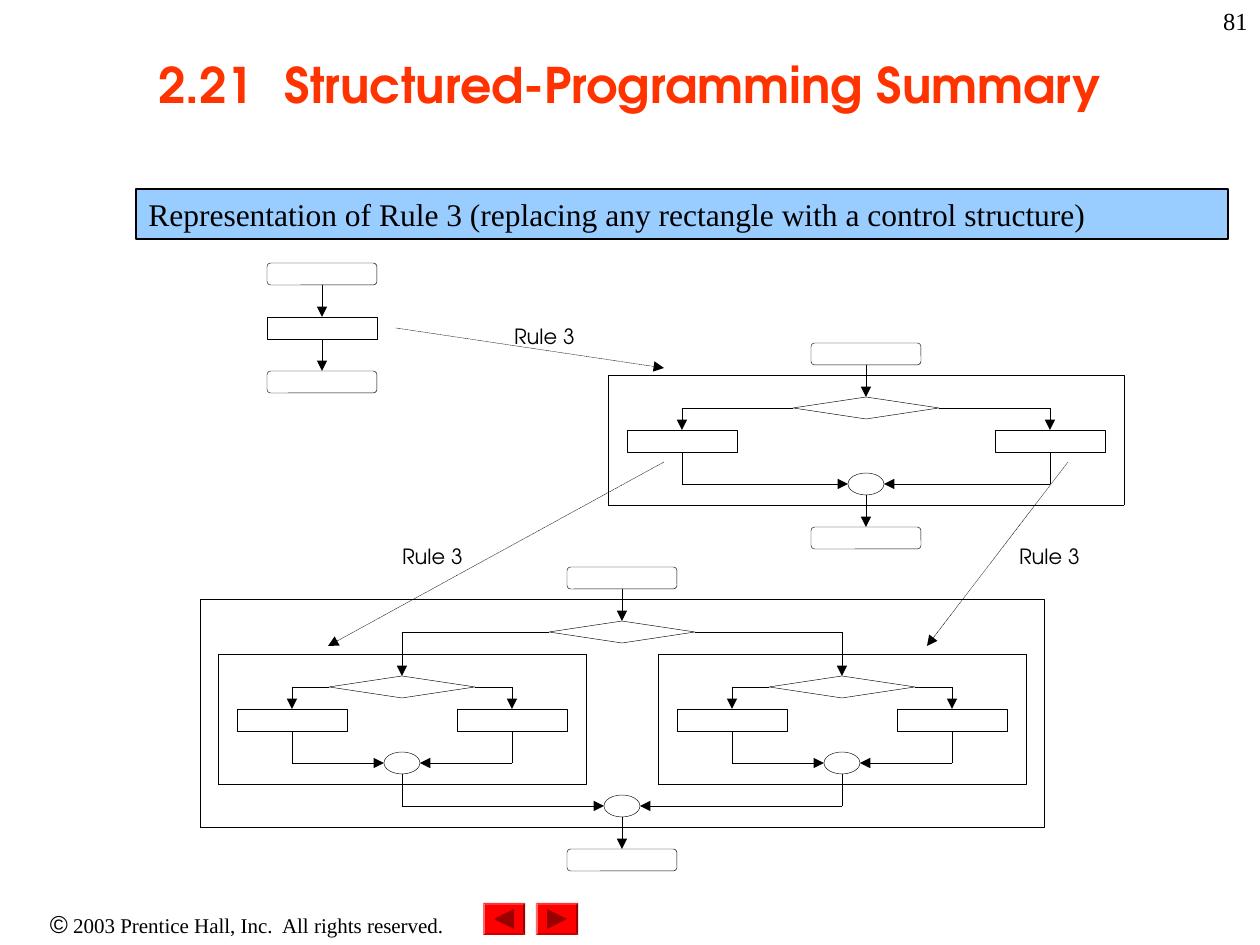
import pptx
import pptx.util
import pptx.dml.color
import pptx.enum.dml
import pptx.enum.shapes
import pptx.enum.text
import pptx.oxml.ns
from lxml import etree

RGB = pptx.dml.color.RGBColor
KIND = pptx.enum.shapes.MSO_SHAPE
ALIGN = pptx.enum.text.PP_ALIGN
DOTS = pptx.enum.dml.MSO_LINE.ROUND_DOT
BLACK = RGB(0, 0, 0)
WHITE = RGB(255, 255, 255)
ORANGE = RGB(0xFF, 0x33, 0x00)
BLUE = RGB(0x99, 0xCC, 0xFF)
RED = RGB(0xFF, 0x00, 0x00)
DARK = RGB(0x99, 0x00, 0x00)
SERIF = "Times New Roman"
GOTHIC = "TeX Gyre Adventor"
UNIT = 914400 / 126
WIDE, HIGH = 110, 22  # process box
STEP = 54  # top of one box to top of the next


def px(size):
    return pptx.util.Emu(round(size * UNIT))


def shape(page, kind, x, y, w, h, fill=None, line=BLACK, weight=0.25):
    item = page.shapes.add_shape(kind, px(x), px(y), px(w), px(h))
    item.shadow.inherit = False
    if fill is None:
        item.fill.background()
    else:
        item.fill.solid()
        item.fill.fore_color.rgb = fill
    if line is None:
        item.line.fill.background()
    else:
        item.line.color.rgb = line
        item.line.width = pptx.util.Pt(weight)
    return item


def style(run, size, face, color=BLACK, bold=False):
    run.font.size = pptx.util.Pt(size)
    run.font.name = face
    run.font.color.rgb = color
    run.font.bold = bold


def text(page, x, y, w, h, words, size, face, align=ALIGN.LEFT, color=BLACK, bold=False):
    box = page.shapes.add_textbox(px(x), px(y), px(w), px(h))
    frame = box.text_frame
    frame.word_wrap = True
    frame.text = words
    frame.paragraphs[0].alignment = align
    style(frame.paragraphs[0].runs[0], size, face, color, bold)
    return frame


def link(page, start, end, head=True, dots=False):
    """Join two ends, each an (x, y) point or a (shape, site) pair."""
    ends = [(0, 0) if hasattr(e[0], "shape_id") else e for e in (start, end)]
    (left, top), (right, low) = ends
    line = page.shapes.add_connector(
        pptx.enum.shapes.MSO_CONNECTOR.STRAIGHT, px(left), px(top), px(right), px(low))
    if hasattr(start[0], "shape_id"):
        line.begin_connect(*start)
    if hasattr(end[0], "shape_id"):
        line.end_connect(*end)
    line.line.color.rgb = BLACK
    line.line.width = pptx.util.Pt(0.25)
    if dots:
        line.line.dash_style = DOTS
    if head:
        tip = etree.SubElement(line.line._get_or_add_ln(), pptx.oxml.ns.qn("a:tailEnd"))
        tip.set("type", "triangle")
    etree.SubElement(line._element.spPr, pptx.oxml.ns.qn("a:effectLst"))


def block(page, mid, top, kind=KIND.RECTANGLE):
    return shape(page, kind, mid - WIDE // 2, top, WIDE, HIGH)


def cap(page, mid, top):
    """Rounded start or end box."""
    item = block(page, mid, top, KIND.ROUNDED_RECTANGLE)
    item.adjustments[0] = 0.17
    return item


def choice(page, mid, top, reach, edge, join):
    """Dotted frame, diamond and merge circle; returns the diamond."""
    half = reach + edge
    frame = shape(page, KIND.RECTANGLE, mid - half, top - HIGH, 2 * half, join + STEP)
    frame.line.dash_style = DOTS
    shape(page, KIND.OVAL, mid - 18, top + join, 36, HIGH)
    return shape(page, KIND.DIAMOND, mid - 73, top, 146, HIGH, WHITE)


def wire(page, mid, top, reach, join, test, heads, feet):
    """Run both branches from the diamond to the heads and from the feet to the circle."""
    fork, meet = top + HIGH // 2, top + join + HIGH // 2
    for side, site, head, foot in zip((-1, 1), (1, 3), heads, feet):
        x = mid + side * reach
        link(page, (test, site), (x, fork), head=False)
        link(page, (x, fork), head)
        link(page, foot, (x, meet), head=False)
        link(page, (x, meet), (mid + side * 18, meet))


def pick(page, mid, top, reach):
    """Selection with one process box on each branch."""
    test = choice(page, mid, top, reach, 74, 76)
    boxes = [block(page, mid + side * reach, top + 33) for side in (-1, 1)]
    wire(page, mid, top, reach, 76, test, [(b, 0) for b in boxes], [(b, 2) for b in boxes])
    return test


def nest(page, mid, top, reach):
    """Selection with a smaller selection on each branch."""
    test = choice(page, mid, top, reach, 202, 174)
    low = top + 55
    tests = [pick(page, mid + side * reach, low, 110) for side in (-1, 1)]
    feet = [(mid + side * reach, low + 76 + HIGH) for side in (-1, 1)]
    wire(page, mid, top, reach, 174, test, [(t, 0) for t in tests], feet)
    return test


def ends(page, mid, top, join, test):
    """Start box above a selection and end box below it."""
    link(page, (cap(page, mid, top - STEP), 2), (test, 0))
    last = cap(page, mid, top + join + STEP)
    link(page, (mid, top + join + HIGH), (last, 0))


def chain(page, mid, top):
    items = [make(page, mid, top + row * STEP) for row, make in enumerate((cap, block, cap))]
    for upper, lower in zip(items, items[1:]):
        link(page, (upper, 2), (lower, 0))


def rule(page, x, y, start, end):
    link(page, start, end, dots=True)
    frame = text(page, x, y, 94, 22, "Rule 3", 12, GOTHIC)
    frame.margin_left = frame.margin_right = frame.margin_top = frame.margin_bottom = 0


def button(page, x, turn):
    key = shape(page, KIND.BEVEL, x, 903, 42, 32, RED, None)
    key.adjustments[0] = 0.06
    mark = shape(page, KIND.ISOSCELES_TRIANGLE, x + 11, 909, 20, 20, DARK, None)
    mark.rotation = turn


def banner(page):
    bar = shape(page, KIND.RECTANGLE, 136, 189, 1092, 50, BLUE, weight=0.75)
    frame = bar.text_frame
    frame.word_wrap = True
    frame.vertical_anchor = pptx.enum.text.MSO_ANCHOR.TOP
    frame.text = "Representation of Rule 3 (replacing any rectangle with a control structure)"
    frame.paragraphs[0].alignment = ALIGN.LEFT
    style(frame.paragraphs[0].runs[0], 18, SERIF)


def footer(page):
    frame = text(page, 0, 903, 494, 43, "©", 14, "Arial", ALIGN.CENTER)
    run = frame.paragraphs[0].add_run()
    run.text = " 2003 Prentice Hall, Inc.  All rights reserved."
    style(run, 12, SERIF)
    button(page, 483, 270)
    button(page, 536, 90)


def main():
    deck = pptx.Presentation()
    deck.slide_width, deck.slide_height = px(1260), px(945)
    page = deck.slides.add_slide(deck.slide_layouts[6])
    footer(page)
    title = text(page, 94, 10, 1071, 147, "2.21\tStructured-Programming Summary",
                 28, GOTHIC, ALIGN.CENTER, ORANGE, True)
    title.vertical_anchor = pptx.enum.text.MSO_ANCHOR.MIDDLE
    chain(page, 322, 263)
    ends(page, 866, 397, 76, pick(page, 866, 397, 184))
    ends(page, 622, 621, 174, nest(page, 622, 621, 220))
    rule(page, 514, 324, (396, 328), (664, 368))
    rule(page, 402, 544, (664, 462), (328, 646))
    rule(page, 1019, 544, (1068, 462), (927, 646))
    banner(page)
    text(page, 998, 0, 262, 63, "81", 14, SERIF, ALIGN.RIGHT)
    deck.save("out.pptx")


if __name__ == "__main__":
    main()
